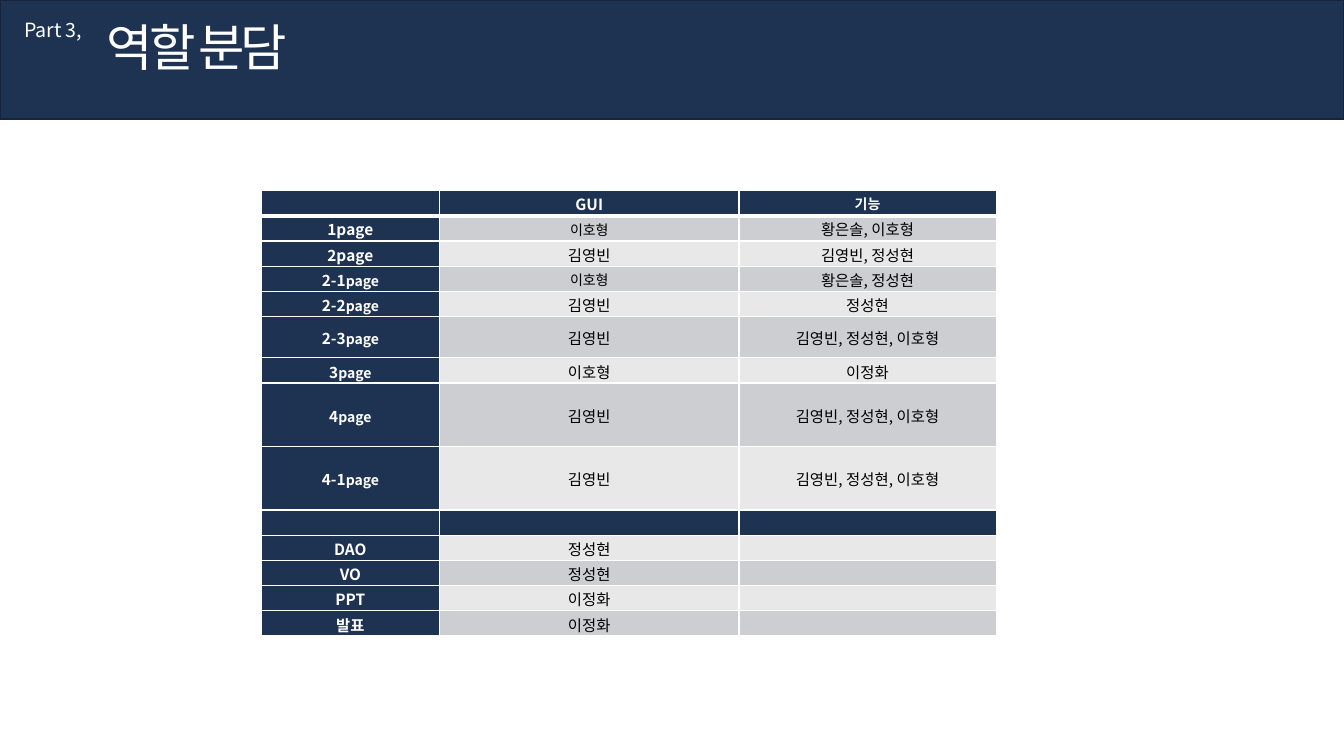
import dataclasses

import pptx
import pptx.dml.color
import pptx.enum.shapes
import pptx.enum.text
import pptx.oxml
import pptx.oxml.ns
import pptx.util
from pptx.util import Inches

FONT = "Noto Sans CJK KR"
NAVY, WHITE, BLACK = "1E3252", "FFFFFF", "000000"
BANDS = ("CDCED1", "E8E8E9")


@dataclasses.dataclass
class Duty:
    """One table row; size is that of its GUI name, and a page suffix may be smaller."""

    label: str
    gui: str = ""
    feature: str = ""
    height: float = 0.25
    suffix: str = ""
    gui_size: float = 11
    feature_size: float = 11


DUTIES = [
    Duty("", "GUI", "기능", feature_size=10),
    Duty("1page", "이호형", "황은솔, 이호형", gui_size=10),
    Duty("2page", "김영빈", "김영빈, 정성현"),
    Duty("2-1", "이호형", "황은솔, 정성현", suffix="page", gui_size=10),
    Duty("2-2", "김영빈", "정성현", suffix="page"),
    Duty("2-3", "김영빈", "김영빈, 정성현, 이호형", 0.41, "page"),
    Duty("3", "이호형", "이정화", suffix="page"),
    Duty("4", "김영빈", "김영빈, 정성현, 이호형", 0.63, "page"),
    Duty("4-1", "김영빈", "김영빈, 정성현, 이호형", 0.63, "page"),
    Duty(""),
    Duty("DAO", "정성현"),
    Duty("VO", "정성현"),
    Duty("PPT", "이정화"),
    Duty("발표", "이정화"),
]
COLUMN_WIDTHS = (1.77, 2.97, 2.55)


def rgb(code: str) -> pptx.dml.color.RGBColor:
    """Turn a hex string into a colour."""
    return pptx.dml.color.RGBColor.from_string(code)


def add_xml(parent, tag: str, body: str = "", **attributes: str) -> None:
    """Append one drawing element to its parent."""
    listed = "".join(f' {key}="{value}"' for key, value in attributes.items())
    namespace = pptx.oxml.ns.nsdecls("a")
    parent.append(pptx.oxml.parse_xml(f"<a:{tag} {namespace}{listed}>{body}</a:{tag}>"))


def format_run(run, size: float, color: str, bold: bool = False) -> None:
    """Set the font of a run for Latin and Korean letters."""
    run.font.size = pptx.util.Pt(size)
    run.font.bold = bold
    run.font.color.rgb = rgb(color)
    run.font.name = FONT
    add_xml(run.font._element, "ea", typeface=FONT)


def fill_text(box, text: str, size: float, wrap: bool) -> None:
    """Write one white left-aligned line into a box that grows with its text."""
    frame = box.text_frame
    frame.text = text
    frame.word_wrap = wrap
    frame.auto_size = pptx.enum.text.MSO_AUTO_SIZE.SHAPE_TO_FIT_TEXT
    frame.vertical_anchor = pptx.enum.text.MSO_ANCHOR.TOP
    frame.paragraphs[0].alignment = pptx.enum.text.PP_ALIGN.LEFT
    format_run(frame.paragraphs[0].runs[0], size, WHITE)


def fill_cell(cell, parts: list[tuple[str, float]], fill: str, color: str,
              bold: bool, bottom: float) -> None:
    """Write the sized parts into a cell and set its fill and borders."""
    cell.margin_left = cell.margin_right = Inches(0.07)
    cell.margin_top = cell.margin_bottom = 0
    cell.vertical_anchor = pptx.enum.text.MSO_ANCHOR.MIDDLE
    paragraph = cell.text_frame.paragraphs[0]
    paragraph.alignment = pptx.enum.text.PP_ALIGN.CENTER
    paragraph.line_spacing = 1.07
    for text, size in parts:
        if text:
            run = paragraph.add_run()
            run.text = text
            format_run(run, size, color, bold)
    if not paragraph.runs:
        add_xml(paragraph._p, "endParaRPr", sz="1100")
    properties = cell._tc.get_or_add_tcPr()
    stroke = f'<a:solidFill><a:srgbClr val="{WHITE}"/></a:solidFill>'
    for side, width in (("lnL", 1), ("lnR", 1), ("lnT", 1), ("lnB", bottom)):
        add_xml(properties, side, stroke, w=str(pptx.util.Pt(width)))
    cell.fill.solid()
    cell.fill.fore_color.rgb = rgb(fill)


def add_duties(slide) -> None:
    """Draw the table of who does what."""
    duties = slide.shapes.add_table(
        len(DUTIES), len(COLUMN_WIDTHS), Inches(2.59), Inches(1.89),
        Inches(sum(COLUMN_WIDTHS)), Inches(sum(duty.height for duty in DUTIES))).table
    for column, width in zip(duties.columns, COLUMN_WIDTHS):
        column.width = Inches(width)
    for row, duty in enumerate(DUTIES):
        duties.rows[row].height = Inches(duty.height)
        columns = (
            [(duty.label, 11), (duty.suffix, 10)],
            [(duty.gui, duty.gui_size)],
            [(duty.feature, duty.feature_size)],
        )
        for column, parts in enumerate(columns):
            dark = row == 0 or column == 0 or not duty.label
            fill_cell(duties.cell(row, column), parts,
                      NAVY if dark else BANDS[(row - 1) % 2],
                      WHITE if dark else BLACK, dark, 3 if row == 0 else 1)


def main() -> None:
    """Build and save the slide."""
    deck = pptx.Presentation()
    deck.slide_width, deck.slide_height = Inches(13.33), Inches(7.5)
    slide = deck.slides.add_slide(deck.slide_layouts[5])

    banner = slide.shapes.add_shape(pptx.enum.shapes.MSO_SHAPE.RECTANGLE,
                                    0, 0, deck.slide_width, Inches(1.18))
    banner.shadow.inherit = False
    banner.fill.solid()
    banner.fill.fore_color.rgb = rgb(NAVY)
    banner.line.color.rgb = rgb("16253D")
    banner.line.width = pptx.util.Pt(1)

    heading = slide.shapes.title
    banner._element.addnext(heading._element)
    heading.left, heading.top = Inches(0.96), Inches(0.11)
    heading.width, heading.height = Inches(6.89), Inches(0.71)
    fill_text(heading, "역할 분담", 36, True)
    heading.text_frame.paragraphs[0].runs[0].font._element.set("spc", "-300")

    part = slide.shapes.add_textbox(Inches(0.14), Inches(0.13), Inches(0.84), Inches(0.34))
    fill_text(part, "Part 3,", 14, False)

    add_duties(slide)
    deck.save("out.pptx")


if __name__ == "__main__":
    main()
